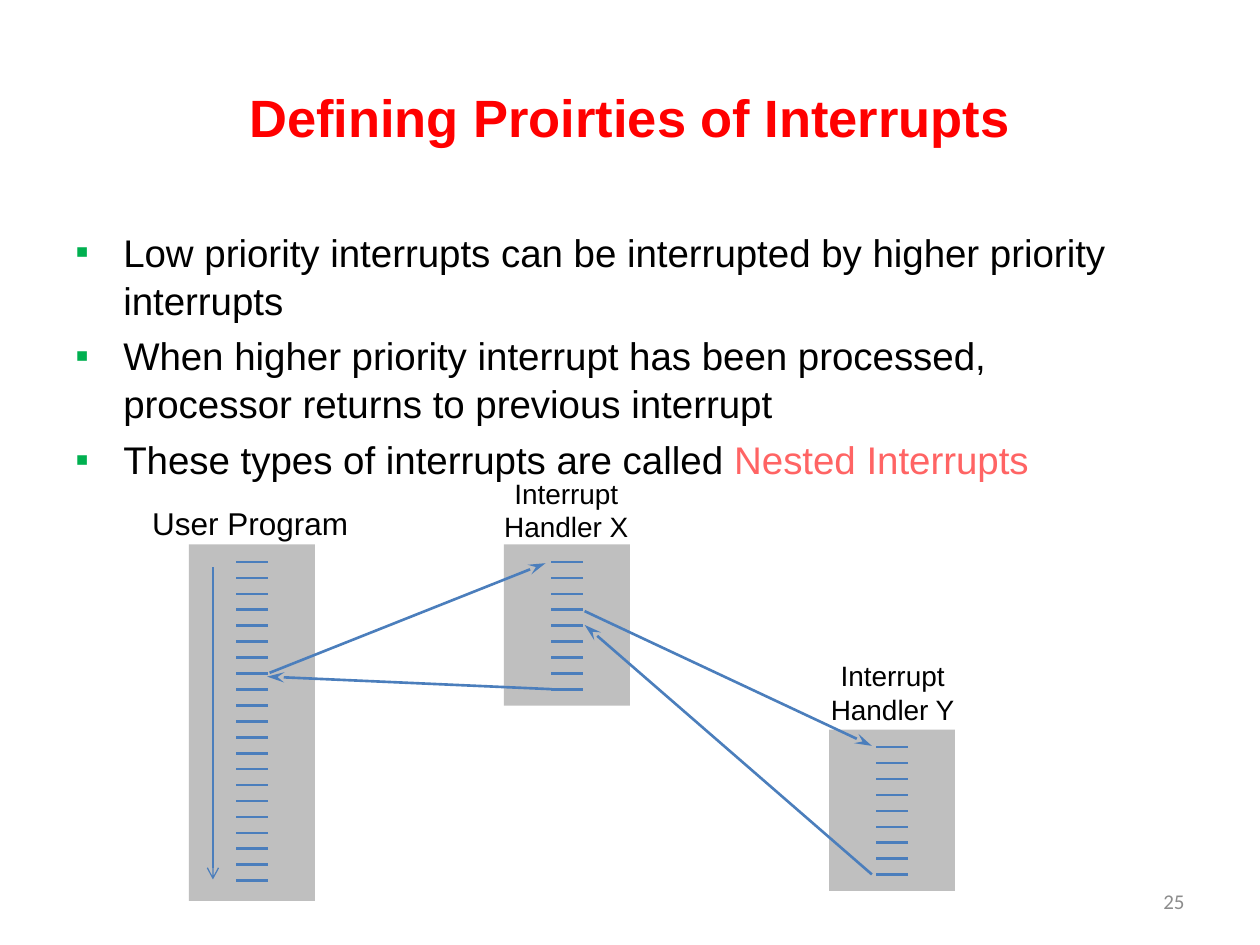
"""Build a slide on nested interrupts, laid out on a grid of 80 columns and 60 rows."""
from lxml import etree
from pptx import Presentation
from pptx import util as u
from pptx.dml.color import RGBColor
from pptx.enum import shapes, text
from pptx.oxml.ns import qn

CELL = 0.125
COLUMNS, ROWS = 80, 60
COLOURS = {
    "title": "FF0000",
    "body": "000000",
    "highlight": "FF6464",
    "bullet": "00B050",
    "number": "8C8C8C",
    "block": "BFBFBF",
    "line": "4B7EBC",
}


def cells(*counts):
    """Turn counts of grid cells into lengths."""
    return [u.Inches(count * CELL) for count in counts]


def colour(name):
    """Look up a named colour."""
    return RGBColor.from_string(COLOURS[name])


def add_text(slide, box, paragraphs, size, align=text.PP_ALIGN.LEFT,
             anchor=text.MSO_ANCHOR.TOP, font="Arial", bold=False, wrap=True):
    """Add a text box whose paragraphs are lists of (words, colour name) runs."""
    frame = slide.shapes.add_textbox(*cells(*box)).text_frame
    frame.word_wrap = wrap
    frame.vertical_anchor = anchor
    for index, runs in enumerate(paragraphs):
        paragraph = frame.add_paragraph() if index else frame.paragraphs[0]
        paragraph.alignment = align
        for words, name in runs:
            run = paragraph.add_run()
            run.text = words
            run.font.name = font
            run.font.size = u.Pt(size)
            run.font.bold = bold
            run.font.color.rgb = colour(name)
    return frame


def add_bullet(paragraph):
    """Give a paragraph a hanging square bullet and the list spacing."""
    paragraph.space_before = u.Pt(4.4)
    paragraph.line_spacing = 1.04
    properties = paragraph._p.get_or_add_pPr()
    indent = u.Inches(0.38)
    properties.set("marL", str(indent))
    properties.set("indent", str(-indent))
    bullet_colour = etree.SubElement(properties, qn("a:buClr"))
    etree.SubElement(bullet_colour, qn("a:srgbClr"), val=COLOURS["bullet"])
    etree.SubElement(properties, qn("a:buFont"), typeface="Arial")
    etree.SubElement(properties, qn("a:buChar"), char="▪")


def add_line(parent, start, end, width=1.5, head=None, length="med"):
    """Draw a straight line, with an arrowhead at its end if one is named."""
    connector = parent.shapes.add_connector(
        shapes.MSO_CONNECTOR.STRAIGHT, *cells(*start, *end))
    connector.line.color.rgb = colour("line")
    connector.line.width = u.Pt(width)
    if head:
        etree.SubElement(connector.line._get_or_add_ln(), qn("a:tailEnd"),
                         type=head, w="med", len=length)
    etree.SubElement(connector._element.spPr, qn("a:effectLst"))


def add_program(slide, left, top, height, instructions):
    """Add a program block with evenly spaced instruction ticks."""
    group = slide.shapes.add_group_shape()
    block = group.shapes.add_shape(
        shapes.MSO_SHAPE.RECTANGLE, *cells(left, top, 8, height))
    block.shadow.inherit = False
    block.fill.solid()
    block.fill.fore_color.rgb = colour("block")
    block.line.fill.background()
    for index in range(instructions):
        row = top + 1.12 + index * 1.012
        add_line(group, (left + 3, row), (left + 5, row))


def main():
    """Build and save the slide."""
    presentation = Presentation()
    presentation.slide_width, presentation.slide_height = cells(COLUMNS, ROWS)
    slide = presentation.slides.add_slide(presentation.slide_layouts[6])
    center, middle = text.PP_ALIGN.CENTER, text.MSO_ANCHOR.MIDDLE

    add_text(slide, (4, 2.4, 72, 10), [[("Defining Proirties of Interrupts", "title")]],
             30, center, middle, bold=True)
    body = add_text(slide, (4, 14, 70, 18), [
        [("Low priority interrupts can be interrupted by higher priority interrupts", "body")],
        [("When higher priority interrupt has been processed, "
          "processor returns to previous interrupt", "body")],
        [("These types of interrupts are called ", "body"),
         ("Nested Interrupts", "highlight")],
    ], 22)
    for paragraph in body.paragraphs:
        add_bullet(paragraph)
    add_text(slide, (57.36, 55.6, 18.64, 3.2), [[("25", "number")]],
             12, text.PP_ALIGN.RIGHT, middle, font="Calibri")

    for left, top, height, instructions in (
            (12, 34.56, 22.64, 21), (32, 34.56, 10.24, 9), (52.64, 46.32, 10.24, 9)):
        add_program(slide, left, top, height, instructions)

    add_text(slide, (8.88, 31.6, 14.16, 3.2), [[("User Program", "body")]], 18, wrap=False)
    for name, left, top in (("X", 30.88, 29.84), ("Y", 51.6, 41.44)):
        add_text(slide, (left, top, 10.16, 5.12),
                 [[(f"Interrupt Handler {name}", "body")]], 16, center)

    for start, end in (
            ((37.12, 38.8), (55.36, 47.36)),
            ((17.12, 42.72), (34.64, 35.76)),
            ((35.04, 43.76), (16.96, 42.96)),
            ((55.36, 55.52), (37.12, 39.68))):
        add_line(slide, start, end, head="stealth", length="lg")
    add_line(slide, (13.52, 36), (13.52, 55.84), width=0.75, head="arrow")

    presentation.save("out.pptx")


if __name__ == "__main__":
    main()
